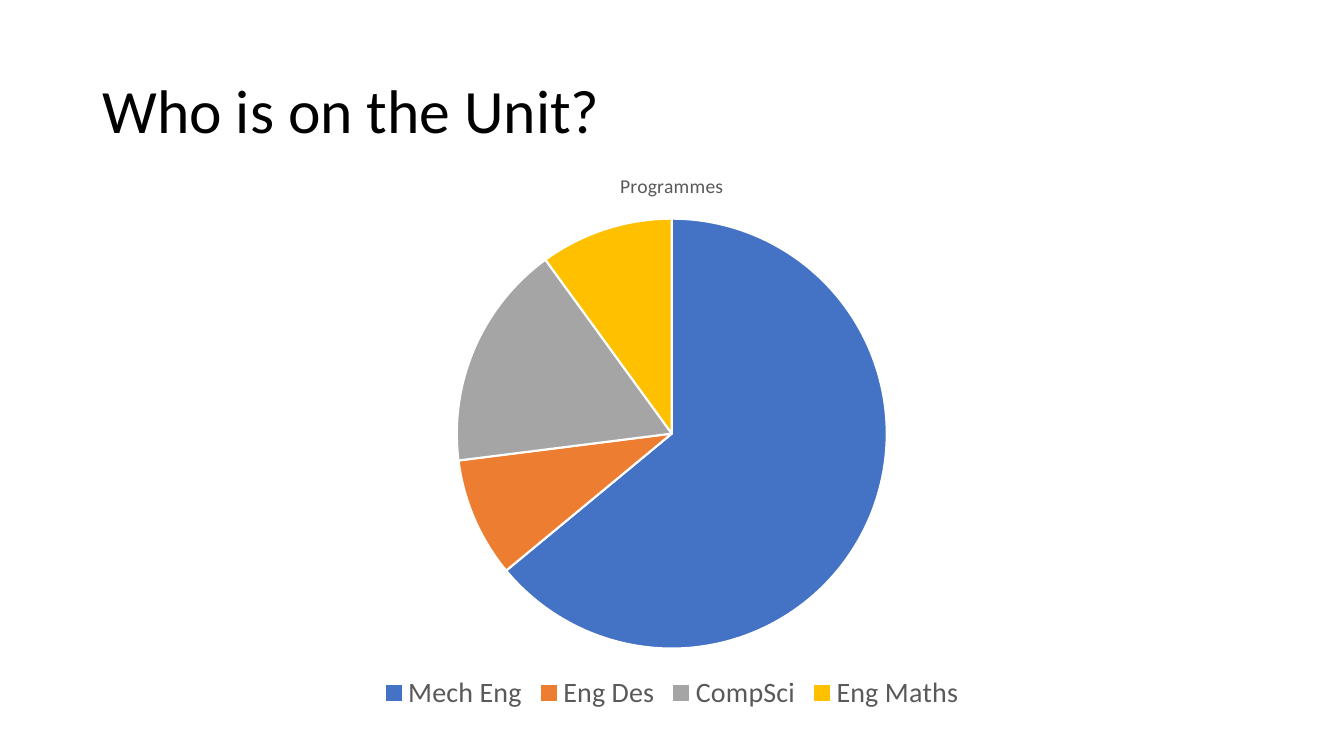
from dataclasses import dataclass

from pptx import Presentation
from pptx.chart.data import CategoryChartData
from pptx.dml.color import RGBColor
from pptx.enum.chart import XL_CHART_TYPE, XL_LEGEND_POSITION
from pptx.enum.text import MSO_ANCHOR, PP_ALIGN
from pptx.slide import Slide
from pptx.text.text import Font
from pptx.util import Pt

TYPEFACE = "Calibri"
GREY = "595959"


@dataclass(frozen=True)
class Programme:
    label: str
    share: int
    colour: str


PROGRAMMES = [
    Programme("Mech Eng", 64, "4472C4"),
    Programme("Eng Des", 9, "ED7D31"),
    Programme("CompSci", 17, "A5A5A5"),
    Programme("Eng Maths", 10, "FFC000"),
]


def rgb(colour: str) -> RGBColor:
    return RGBColor.from_string(colour)


def style_font(font: Font, size: float, colour: str) -> None:
    font.name = TYPEFACE
    font.size = Pt(size)
    font.bold = False
    font.color.rgb = rgb(colour)


def write_heading(slide: Slide, wording: str) -> None:
    heading = slide.shapes.title
    heading.left, heading.top = Pt(66), Pt(28.75)
    heading.width, heading.height = Pt(828), Pt(104.4)
    frame = heading.text_frame
    frame.word_wrap = True
    frame.vertical_anchor = MSO_ANCHOR.MIDDLE
    line = frame.paragraphs[0]
    line.alignment = PP_ALIGN.LEFT
    line.line_spacing = 0.9
    run = line.add_run()
    run.text = wording
    style_font(run.font, 44, "000000")


def draw_programmes(slide: Slide, programmes: list[Programme]) -> None:
    shares = CategoryChartData()
    shares.categories = [programme.label for programme in programmes]
    shares.add_series("Series 1", [programme.share for programme in programmes])
    pie = slide.shapes.add_chart(
        XL_CHART_TYPE.PIE, Pt(203.75), Pt(108.75), Pt(552.25), Pt(402.5), shares
    ).chart
    style_font(pie.font, 10, "000000")

    pie.has_title = True
    caption = pie.chart_title.text_frame.paragraphs[0].add_run()
    caption.text = "Programmes"
    style_font(caption.font, 14, GREY)
    pie.chart_title.include_in_layout = False

    pie.has_legend = True
    pie.legend.position = XL_LEGEND_POSITION.BOTTOM
    pie.legend.include_in_layout = False
    style_font(pie.legend.font, 20, GREY)

    plot = pie.plots[0]
    plot.vary_by_categories = True
    for index, programme in enumerate(programmes):
        slice_format = plot.series[0].points[index].format
        slice_format.fill.solid()
        slice_format.fill.fore_color.rgb = rgb(programme.colour)
        slice_format.line.color.rgb = rgb("FFFFFF")
        slice_format.line.width = Pt(1.5)


def main() -> None:
    deck = Presentation()
    deck.slide_width, deck.slide_height = Pt(960), Pt(540)
    slide = deck.slides.add_slide(deck.slide_layouts[5])
    write_heading(slide, "Who is on the Unit?")
    draw_programmes(slide, PROGRAMMES)
    deck.save("out.pptx")


if __name__ == "__main__":
    main()
